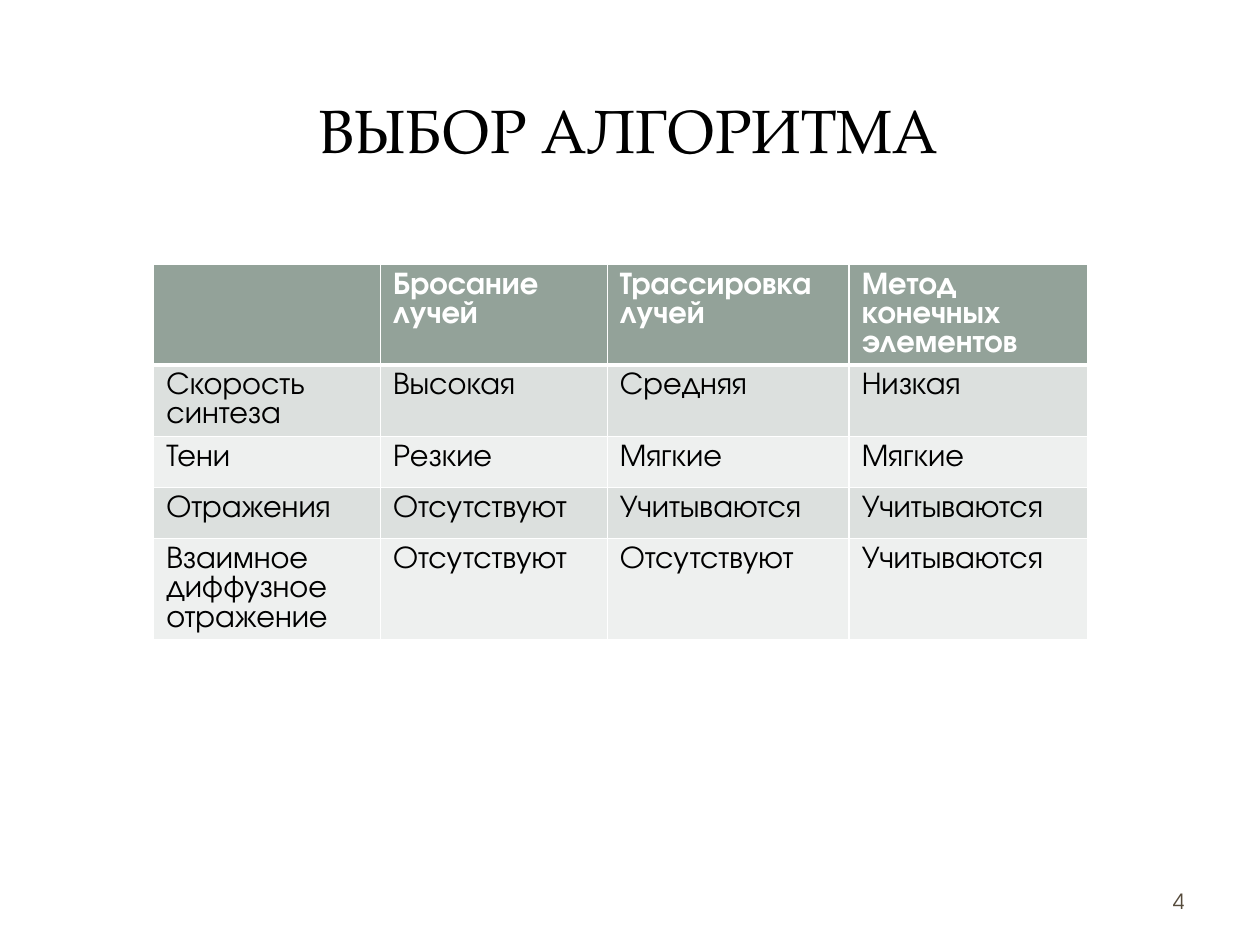
from dataclasses import dataclass

from lxml.etree import SubElement
from pptx import Presentation
from pptx.dml.color import RGBColor as RGB
from pptx.enum.shapes import MSO_SHAPE as SHAPE
from pptx.enum.text import MSO_ANCHOR as ANCHOR, PP_ALIGN as ALIGN
from pptx.oxml.ns import qn
from pptx.util import Inches, Pt


@dataclass(frozen=True)
class Theme:
    """Colours, fonts and type sizes of the slide."""
    white: str = "FFFFFF"
    black: str = "000000"
    number: str = "564B3C"
    header: str = "93A299"
    bands: tuple = ("DCE0DE", "EEF0EF")
    title_font: str = "TeX Gyre Pagella"
    body_font: str = "TeX Gyre Adventor"
    title_size: int = 35
    body_size: int = 18
    number_size: int = 12


THEME = Theme()
TITLE = "ВЫБОР АЛГОРИТМА"
ROWS = [
    ("", "Бросание лучей", "Трассировка лучей", "Метод конечных элементов"),
    ("Скорость синтеза", "Высокая", "Средняя", "Низкая"),
    ("Тени", "Резкие", "Мягкие", "Мягкие"),
    ("Отражения", "Отсутствуют", "Учитываются", "Учитываются"),
    ("Взаимное диффузное отражение", "Отсутствуют", "Отсутствуют", "Учитываются"),
]
COL_WIDTHS = (1.8, 1.8, 1.92, 1.89)
TABLE_HEIGHT = 2.03
# Shape, box and opacity in percent, from back to front
PANELS = [
    (SHAPE.ROUNDED_RECTANGLE, (0.1, 0.11, 9.8, 7.29), 100),
    (SHAPE.RECTANGLE, (0.3, 0.3, 9.4, 1.45), 83),
    (SHAPE.RECTANGLE, (0.41, 0.41, 9.17, 1.22), 100),
]


def write(tf, text, color, align=ALIGN.LEFT, **font):
    """Put one formatted run into a text frame."""
    p = tf.paragraphs[0]
    p.alignment = align
    if not text:
        return
    r = p.add_run()
    r.text = text
    r.font.color.rgb = RGB.from_string(color)
    for name, value in font.items():
        setattr(r.font, name, value)


def add_panels(s):
    """Lay the white page and title panels behind the title."""
    for kind, box, opacity in PANELS:
        sp = s.shapes.add_shape(kind, *map(Inches, box))
        sp.shadow.inherit = False
        sp.line.fill.background()
        sp.fill.solid()
        sp.fill.fore_color.rgb = RGB.from_string(THEME.white)
        if kind == SHAPE.ROUNDED_RECTANGLE:
            sp.adjustments[0] = 0.02
        if opacity < 100:
            color = sp._element.spPr.find(qn("a:solidFill"))[0]
            SubElement(color, qn("a:alpha"), val=str(opacity * 1000))
        s.shapes.title._element.addprevious(sp._element)


def add_title(s, box):
    """Place the title placeholder in the box."""
    sp = s.shapes.title
    sp.left, sp.top, sp.width, sp.height = map(Inches, box)
    sp.text_frame.vertical_anchor = ANCHOR.MIDDLE
    write(sp.text_frame, TITLE, THEME.black, ALIGN.CENTER,
          name=THEME.title_font, size=Pt(THEME.title_size))


def set_borders(cell, **widths):
    """Draw white cell borders, given in points by side."""
    tc_pr = cell._tc.get_or_add_tcPr()
    for i, (side, width) in enumerate(widths.items()):
        ln = SubElement(tc_pr, qn(f"a:ln{side}"), w=str(Pt(width)))
        fill = SubElement(ln, qn("a:solidFill"))
        SubElement(fill, qn("a:srgbClr"), val=THEME.white)
        tc_pr.insert(i, ln)


def add_comparison(s, left, top):
    """Build the table of algorithms; rows grow to fit their text."""
    table = s.shapes.add_table(
        len(ROWS), len(COL_WIDTHS), Inches(left), Inches(top),
        Inches(sum(COL_WIDTHS)), Inches(TABLE_HEIGHT)).table
    for col, width in zip(table.columns, COL_WIDTHS):
        col.width = Inches(width)
    for i, row in enumerate(ROWS):
        head = i == 0
        fill = THEME.header if head else THEME.bands[(i - 1) % 2]
        for j, text in enumerate(row):
            cell = table.cell(i, j)
            cell.fill.solid()
            cell.fill.fore_color.rgb = RGB.from_string(fill)
            set_borders(cell, L=1, R=1, T=3 if i == 1 else 1, B=3 if head else 1)
            write(cell.text_frame, text, THEME.white if head else THEME.black,
                  name=THEME.body_font, size=Pt(THEME.body_size), bold=head)


def add_number(s, box, number):
    """Write the slide number at the right of the box."""
    tf = s.shapes.add_textbox(*map(Inches, box)).text_frame
    tf.word_wrap = True
    tf.vertical_anchor = ANCHOR.MIDDLE
    write(tf, number, THEME.number, ALIGN.RIGHT,
          name=THEME.body_font, size=Pt(THEME.number_size))


prs = Presentation()
prs.slide_width, prs.slide_height = Inches(10), Inches(7.5)
s = prs.slides.add_slide(prs.slide_layouts[5])
s.background.fill.solid()
s.background.fill.fore_color.rgb = RGB.from_string(THEME.white)
add_panels(s)
add_title(s, (0.47, 0.45, 9.03, 1.14))
add_comparison(s, 1.22, 2.1)
add_number(s, (7.17, 6.95, 2.33, 0.4), "4")
prs.save("out.pptx")
